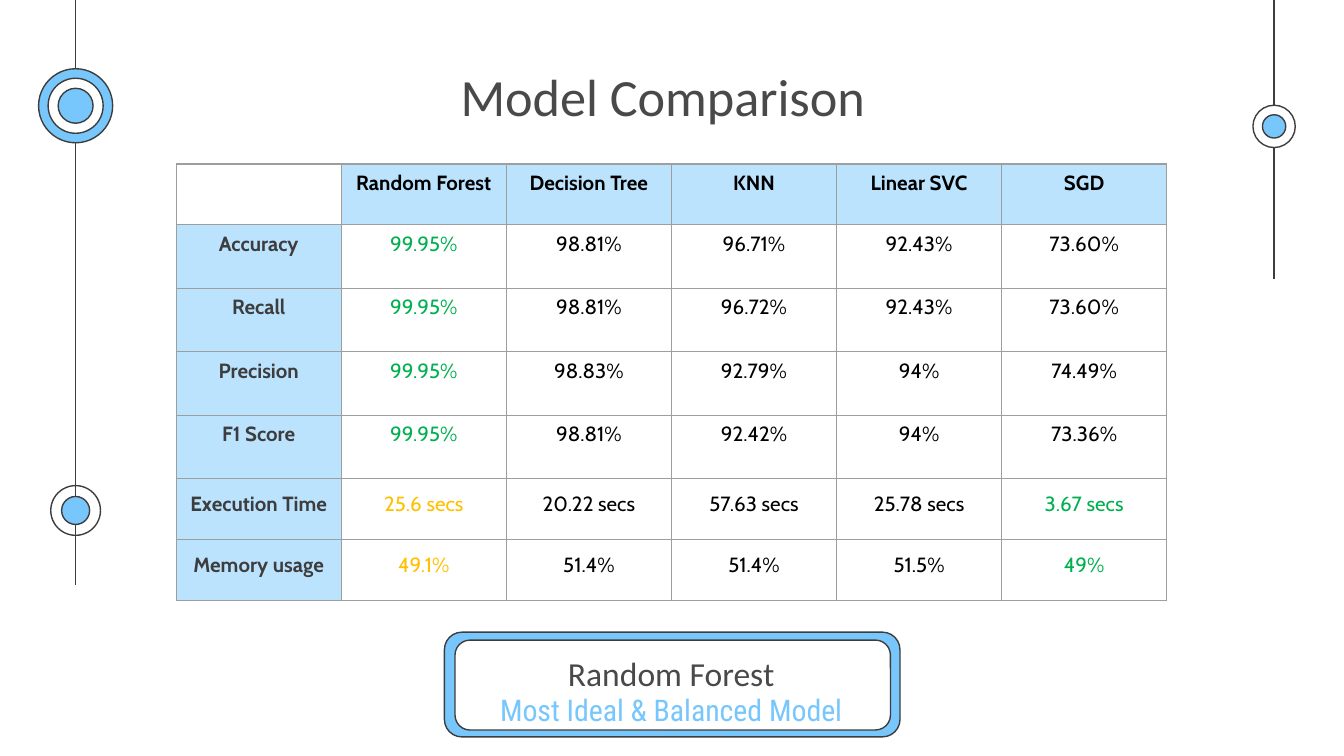
from pptx import Presentation
from pptx.dml.color import RGBColor
from pptx.enum.shapes import MSO_CONNECTOR as Wire, MSO_SHAPE as Form
from pptx.enum.text import MSO_ANCHOR as Anchor, MSO_AUTO_SIZE as Fit, PP_ALIGN as Align
from pptx.oxml import parse_xml
from pptx.oxml.ns import nsdecls
from pptx.util import Cm, Pt

INK, SKY, PALE, WHITE = "3D3D3D", "77C6FC", "BBE3FE", "FFFFFF"
BLACK, GRAY, EDGE = "000000", "494949", "9E9E9E"
GREEN, GOLD = "00B050", "FFC000"


def color(code):
    return RGBColor.from_string(code)


def paint(fill, code):
    if code:
        fill.solid()
        fill.fore_color.rgb = color(code)
    else:
        fill.background()


def write(frame, text, font="Cabin", size=11, ink=BLACK, bold=False,
          lead=1.0, before=0, after=0):
    para = frame.paragraphs[0]
    para.alignment = Align.CENTER
    para.line_spacing = lead
    para.space_before, para.space_after = Pt(before), Pt(after)
    run = para.add_run()
    run.text = text
    run.font.name, run.font.size, run.font.bold = font, Pt(size), bold
    run.font.color.rgb = color(ink)


class Board:
    def __init__(self, slide, line=INK, width=0.75):
        self.slide = slide
        self.shapes = slide.shapes
        self.line = line
        self.width = width

    def wire(self, x, top, end):
        wire = self.shapes.add_connector(Wire.STRAIGHT, Cm(x), Cm(top), Cm(x), Cm(end))
        wire.line.color.rgb = color(self.line)
        wire.line.width = Pt(self.width)
        wire._element.spPr.append(parse_xml(f"<a:effectLst {nsdecls('a')}/>"))

    def shape(self, form, box, fill):
        shape = self.shapes.add_shape(form, *map(Cm, box))
        shape.shadow.inherit = False
        paint(shape.fill, fill)
        shape.line.color.rgb = color(self.line)
        shape.line.width = Pt(self.width)
        return shape

    def rings(self, x, y, discs):
        for size, fill in discs:
            self.shape(Form.OVAL, (x - size / 2, y - size / 2, size, size), fill)

    def text(self, item, box, text, anchor=Anchor.MIDDLE, **style):
        item.left, item.top, item.width, item.height = map(Cm, box)
        frame = item.text_frame
        frame.auto_size = Fit.NONE
        frame.word_wrap = True
        frame.vertical_anchor = anchor
        frame.margin_left = frame.margin_right = Cm(0.25)
        frame.margin_top = frame.margin_bottom = Cm(0.25)
        write(frame, text, **style)
        self.shapes._spTree.append(item._element)

    def label(self, box, text, **style):
        self.text(self.shapes.add_textbox(*map(Cm, box)), box, text, **style)

    def border(self, cell):
        props = cell._tc.get_or_add_tcPr()
        for spot, side in enumerate(("lnL", "lnR", "lnT", "lnB")):
            props.insert(spot, parse_xml(
                f'<a:{side} {nsdecls("a")} w="{Pt(self.width)}"><a:solidFill>'
                f'<a:srgbClr val="{EDGE}"/></a:solidFill></a:{side}>'))

    def table(self, left, top, wide, highs, rows, tints):
        cols = len(rows[0])
        grid = self.shapes.add_table(len(rows), cols, Cm(left), Cm(top),
                                     Cm(wide * cols), Cm(sum(highs))).table
        grid.first_row = grid.horz_banding = False
        for col in grid.columns:
            col.width = Cm(wide)
        for r, row in enumerate(rows):
            grid.rows[r].height = Cm(highs[r])
            for c, text in enumerate(row):
                cell = grid.cell(r, c)
                head = r == 0 or c == 0
                paint(cell.fill, PALE if head and text else None)
                self.border(cell)
                style = {}
                if r > 4:
                    cell.margin_left = cell.margin_right = Cm(0.18)
                    cell.margin_top = cell.margin_bottom = 0
                    style = dict(lead=1.5, before=12, after=8)
                if text:
                    ink = INK if r and c == 0 else tints.get((r, c), BLACK)
                    write(cell.text_frame, text, ink=ink, bold=head, **style)


def main():
    deck = Presentation()
    deck.slide_width, deck.slide_height = Cm(25.4), Cm(14.29)
    slide = deck.slides.add_slide(deck.slide_layouts[0])
    title, sub = slide.placeholders
    board = Board(slide)

    board.wire(1.43, 0, 11.05)
    board.wire(24.08, 0, 5.28)
    board.rings(1.43, 9.65, [(0.94, None), (0.53, SKY)])
    board.rings(24.08, 2.39, [(0.8, WHITE), (0.44, SKY)])
    board.rings(1.43, 2, [(1.4, SKY), (1.04, WHITE), (0.66, SKY)])

    board.text(title, (4.78, 0.97, 15.49, 1.65), "Model Comparison",
               anchor=Anchor.TOP, font="Calibri", size=28, ink=GRAY)

    rows = [
        ["", "Random Forest", "Decision Tree", "KNN", "Linear SVC", "SGD"],
        ["Accuracy", "99.95%", "98.81%", "96.71%", "92.43%", "73.60%"],
        ["Recall", "99.95%", "98.81%", "96.72%", "92.43%", "73.60%"],
        ["Precision", "99.95%", "98.83%", "92.79%", "94%", "74.49%"],
        ["F1 Score", "99.95%", "98.81%", "92.42%", "94%", "73.36%"],
        ["Execution Time", "25.6 secs", "20.22 secs", "57.63 secs", "25.78 secs", "3.67 secs"],
        ["Memory usage", "49.1%", "51.4%", "51.4%", "51.5%", "49%"],
    ]
    tints = {(r, 1): GREEN if r < 5 else GOLD for r in range(1, 7)}
    tints.update({(5, 5): GREEN, (6, 5): GREEN})
    highs = [1.15] + [1.2] * 4 + [1.15] * 2
    board.table(3.33, 3.1, 3.12, highs, rows, tints)

    board.shape(Form.ROUNDED_RECTANGLE, (8.4, 11.95, 8.61, 1.98), SKY)
    board.shape(Form.ROUNDED_RECTANGLE, (8.6, 12.1, 8.23, 1.7), WHITE)
    board.label((8.38, 12.22, 8.61, 0.99), "Random Forest",
                font="Calibri", size=18, ink=GRAY)
    board.text(sub, (8.38, 13.18, 8.61, 0.48), "Most Ideal & Balanced Model",
               font="Roboto Condensed", size=16, ink=SKY)

    deck.save("out.pptx")


if __name__ == "__main__":
    main()
